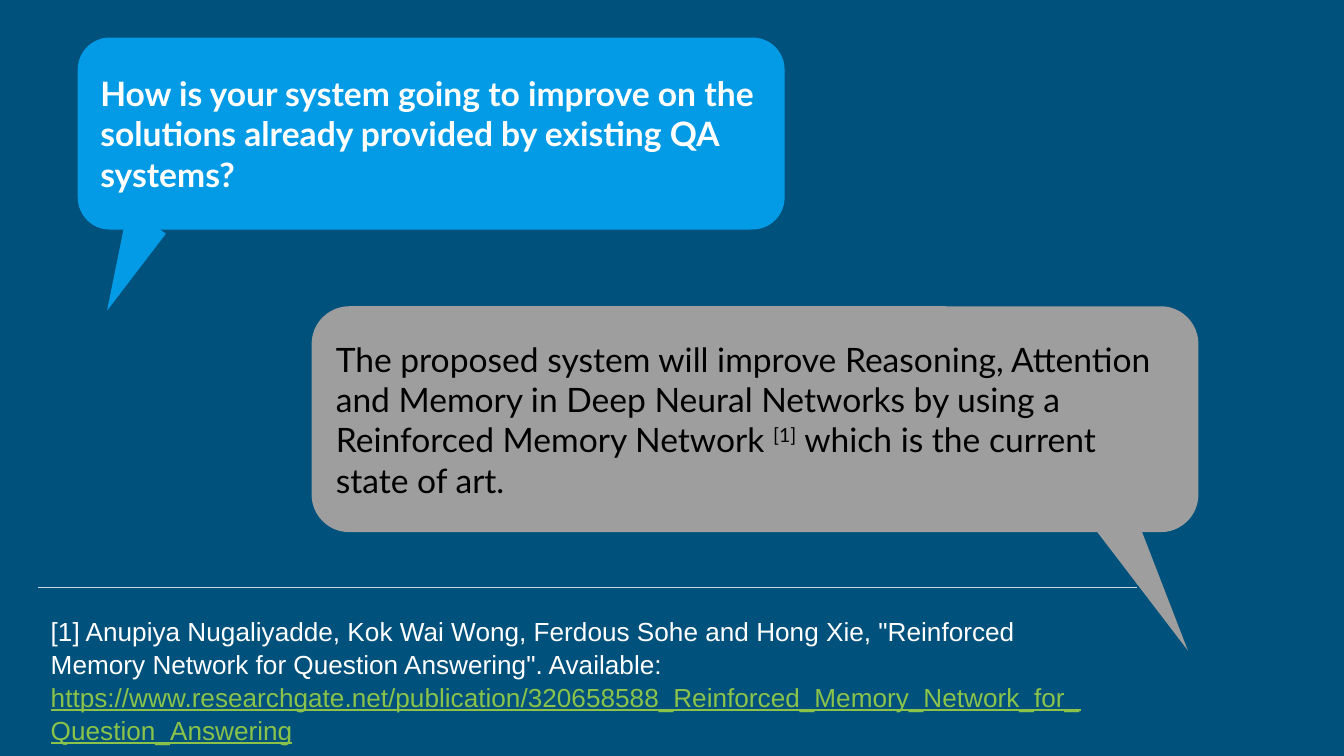
import pptx
import pptx.util
import pptx.dml.color
import pptx.enum.shapes
import pptx.enum.text
import pptx.oxml

Cm = pptx.util.Cm
Pt = pptx.util.Pt
SHAPE = pptx.enum.shapes.MSO_SHAPE
COLORS = {
    "back": "00517C",
    "ask": "039BE5",
    "reply": "9E9E9E",
    "white": "FFFFFF",
    "black": "000000",
    "rule": "CFD8DC",
    "link": "8BC34A",
}


def color(name):
    """Return the named colour."""
    return pptx.dml.color.RGBColor.from_string(COLORS[name])


def set_frame(frame):
    """Wrap the text and set equal margins."""
    frame.word_wrap = True
    frame.margin_left = frame.margin_right = Cm(0.25)
    frame.margin_top = frame.margin_bottom = Cm(0.25)


def add_run(para, text, font, size, ink):
    """Append a formatted run and return it."""
    run = para.add_run()
    run.text = text
    run.font.name = font
    run.font.size = Pt(size)
    run.font.color.rgb = color(ink)
    return run


def add_solid(slide, kind, box, fill):
    """Draw a plain filled shape in the box."""
    shape = slide.shapes.add_shape(kind, *(Cm(side) for side in box))
    shape.shadow.inherit = False
    shape.fill.solid()
    shape.fill.fore_color.rgb = color(fill)
    shape.line.fill.background()
    return shape


def add_bubble(slide, box, fill, tail, angle, flip=False):
    """Draw a speech bubble with its tail and return its paragraph."""
    left, top, width, height = box
    body = add_solid(slide, SHAPE.ROUNDED_RECTANGLE, box, fill)
    frame = body.text_frame
    set_frame(frame)
    frame.vertical_anchor = pptx.enum.text.MSO_ANCHOR.MIDDLE
    para = frame.paragraphs[0]
    para.alignment = pptx.enum.text.PP_ALIGN.LEFT

    dx, dy, wide, high = tail
    place = (left + dx, top + dy, wide, high)
    point = add_solid(slide, SHAPE.RIGHT_TRIANGLE, place, fill)
    point.rotation = angle
    if flip:
        point._element.spPr.find(pptx.oxml.ns.qn("a:xfrm")).set("flipH", "1")
    return para


def add_source(slide, box):
    """Draw the rule and the reference below it."""
    left, top, width, height = box
    rule = slide.shapes.add_connector(
        pptx.enum.shapes.MSO_CONNECTOR.STRAIGHT,
        Cm(left), Cm(top), Cm(left + width), Cm(top))
    rule.line.color.rgb = color("rule")
    rule.line.width = Pt(0.75)
    rule._element.spPr.append(
        pptx.oxml.parse_xml(f"<a:effectLst {pptx.oxml.ns.nsdecls('a')}/>"))

    note = slide.shapes.add_textbox(
        Cm(left), Cm(top + 0.25), Cm(width - 0.64), Cm(height - 0.25))
    set_frame(note.text_frame)
    para = note.text_frame.paragraphs[0]
    para.line_spacing = 1.05
    add_run(para, "[1] Anupiya Nugaliyadde, Kok Wai Wong, Ferdous Sohe and Hong Xie, "
            "\"Reinforced Memory Network for Question Answering\". Available: ",
            "Arial", 14, "white")
    link = add_run(para, "https://www.researchgate.net/publication/"
                   "320658588_Reinforced_Memory_Network_for_Question_Answering",
                   "Arial", 14, "link")
    link.font.underline = True


def main():
    """Build and save the slide."""
    deck = pptx.Presentation()
    deck.slide_width, deck.slide_height = Cm(25.4), Cm(14.29)
    slide = deck.slides.add_slide(deck.slide_layouts[6])
    slide.background.fill.solid()
    slide.background.fill.fore_color.rgb = color("back")

    ask = add_bubble(slide, (1.47, 0.71, 13.36, 3.63), "ask",
                     (0.31, 3.25, 0.89, 1.83), 217.4)
    query = add_run(ask, "How is your system going to improve on the solutions "
                    "already provided by existing QA systems?", "Lato", 18, "white")
    query.font.bold = True

    reply = add_bubble(slide, (5.89, 5.79, 16.76, 4.27), "reply",
                       (15.52, 3.43, 0.91, 3.12), 142.6, flip=True)
    add_run(reply, "The proposed system will improve Reasoning, Attention and Memory "
            "in Deep Neural Networks by using a Reinforced Memory Network ",
            "Lato", 18, "black")
    mark = add_run(reply, "[1]", "Lato", 18, "black")
    mark.font._element.set("baseline", "30000")
    add_run(reply, " which is the current state of art.", "Lato", 18, "black")

    add_source(slide, (0.71, 11.1, 20.78, 2.15))
    deck.save("out.pptx")


if __name__ == "__main__":
    main()
